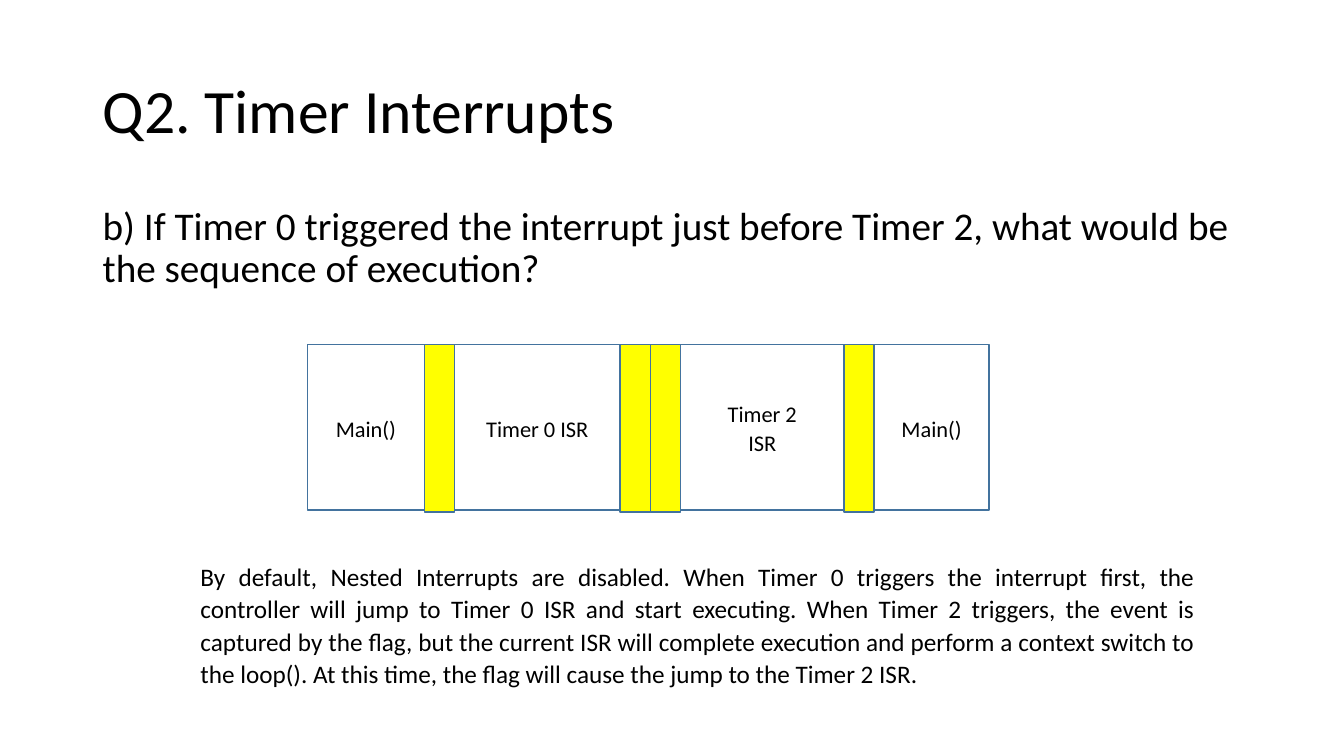
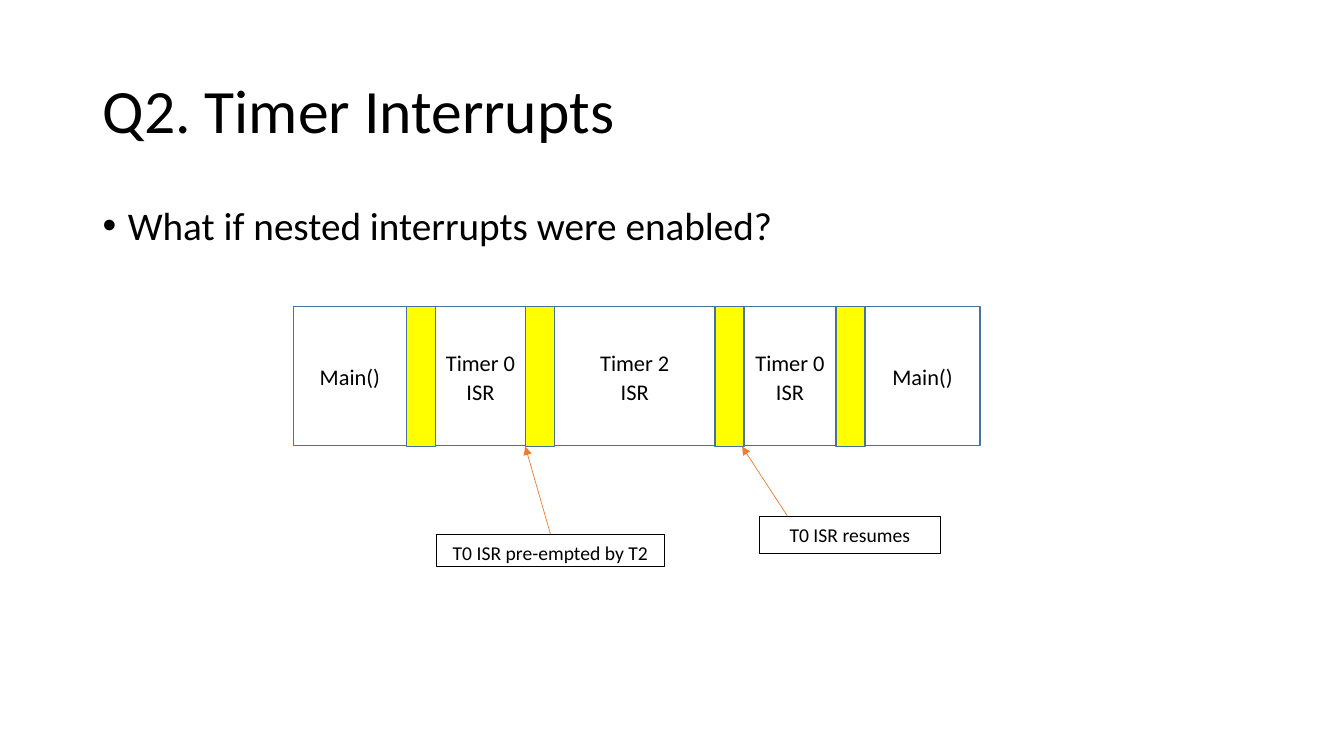
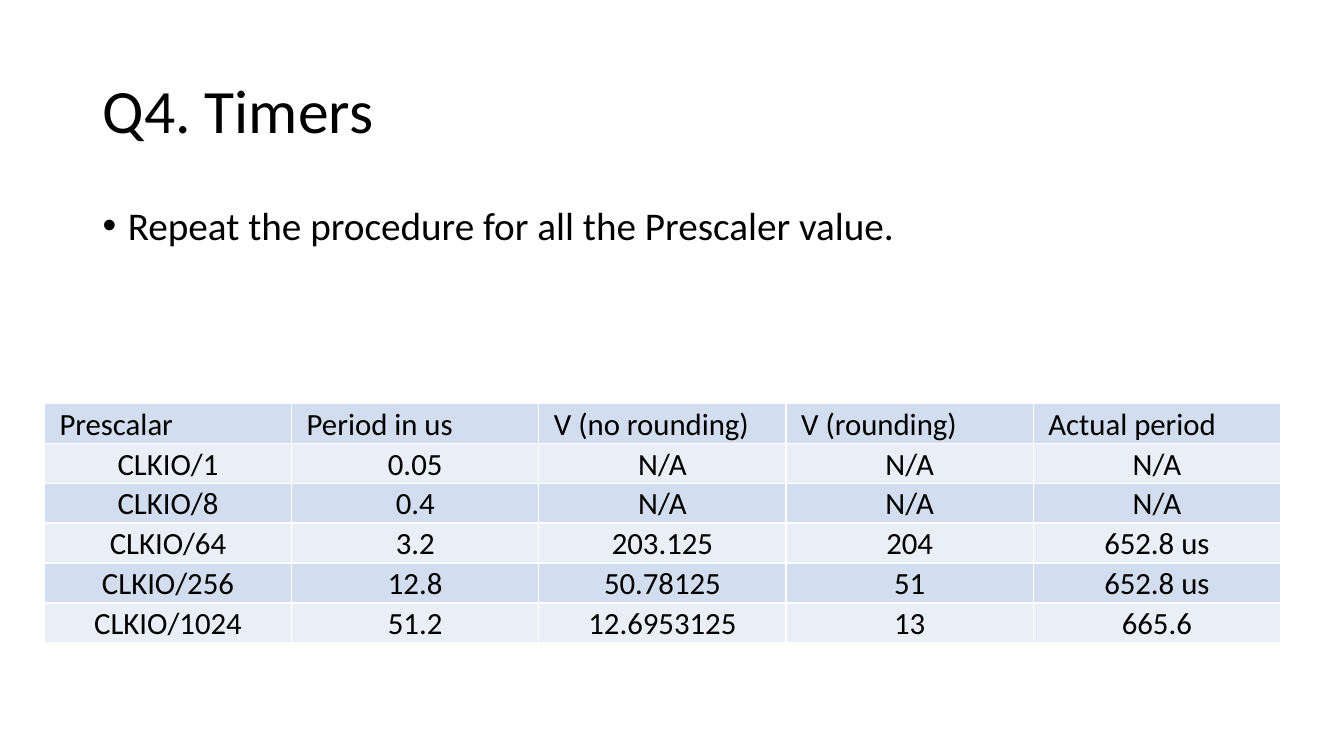
"""Build three tutorial slides on timer interrupts and prescaler values."""
from dataclasses import dataclass

from lxml.etree import SubElement
from pptx import Presentation
from pptx.dml.color import RGBColor
from pptx.enum.shapes import MSO_CONNECTOR, MSO_SHAPE
from pptx.enum.text import MSO_ANCHOR, MSO_AUTO_SIZE, PP_ALIGN
from pptx.oxml.ns import qn
from pptx.util import Pt

PX = 9144


@dataclass(frozen=True)
class Theme:
    font: str = "Calibri"
    ink: str = "000000"
    paper: str = "FFFFFF"
    block_line: str = "43739E"
    switch_fill: str = "FFFF00"
    arrow: str = "ED7D31"
    bands: tuple = ("D2DEEF", "EAEFF7")
    title_size: int = 44
    body_size: int = 28
    table_size: int = 22
    note_size: int = 18
    block_size: int = 16
    callout_size: int = 14


THEME = Theme()


def write(frame, text, size, align=PP_ALIGN.LEFT, spacing=1.07, before=0, after=8):
    """Put one formatted paragraph in a text frame and return it."""
    paragraph = frame.paragraphs[0]
    paragraph.text = text
    paragraph.alignment = align
    paragraph.line_spacing = spacing
    paragraph.space_before = Pt(before)
    paragraph.space_after = Pt(after)
    for run in paragraph.runs:
        run.font.name = THEME.font
        run.font.size = Pt(size)
        run.font.color.rgb = RGBColor.from_string(THEME.ink)
    return paragraph


def add_box(slide, bounds, fill, line, line_width, text="", size=0, anchor=MSO_ANCHOR.MIDDLE):
    """Add an outlined rectangle, with centred text if there is any."""
    box = slide.shapes.add_shape(MSO_SHAPE.RECTANGLE, *(value * PX for value in bounds))
    box.shadow.inherit = False
    if fill:
        box.fill.solid()
        box.fill.fore_color.rgb = RGBColor.from_string(fill)
    else:
        box.fill.background()
    box.line.color.rgb = RGBColor.from_string(line)
    box.line.width = Pt(line_width)
    box.text_frame.word_wrap = True
    box.text_frame.vertical_anchor = anchor
    if text:
        write(box.text_frame, text, size, PP_ALIGN.CENTER)


presentation = Presentation()
presentation.slide_width = 1333 * PX
presentation.slide_height = 750 * PX
title_only = presentation.slide_layouts[5]

outline = [
    ("Q2. Timer Interrupts", "b) If Timer 0 triggered the interrupt just before Timer 2, "
     "what would be the sequence of execution?", 128, False),
    ("Q2. Timer Interrupts", "What if nested interrupts were enabled?", 61, True),
    ("Q4. Timers", "Repeat the procedure for all the Prescaler value.", 112, True),
]
slides = []
for heading, question, question_height, bulleted in outline:
    slide = presentation.slides.add_slide(title_only)
    slides.append(slide)
    title = slide.shapes.title
    title.left, title.top, title.width, title.height = (v * PX for v in (92, 40, 1150, 145))
    title.text_frame.vertical_anchor = MSO_ANCHOR.MIDDLE
    title.text_frame.auto_size = MSO_AUTO_SIZE.NONE
    write(title.text_frame, heading, THEME.title_size, spacing=0.9, after=0)

    body = slide.shapes.add_textbox(92 * PX, 200 * PX, 1150 * PX, question_height * PX)
    body.text_frame.word_wrap = True
    paragraph = write(body.text_frame, question, THEME.body_size, spacing=0.9, before=10, after=0)
    if bulleted:
        properties = paragraph._p.get_or_add_pPr()
        properties.set("marL", str(25 * PX))
        properties.set("indent", str(-25 * PX))
        SubElement(properties, qn("a:buFont"), typeface="Arial")
        SubElement(properties, qn("a:buChar"), char="•")

default_slide, nested_slide, prescaler_slide = slides

SWITCH = ""
timelines = [
    (default_slide, 305, 342, 164, 166, [
        ("Main()", 116), (SWITCH, 30), ("Timer 0 ISR", 164), (SWITCH, 30), (SWITCH, 30),
        ("Timer 2\nISR", 162), (SWITCH, 30), ("Main()", 114)]),
    (nested_slide, 291, 304, 138, 139, [
        ("Main()", 112), (SWITCH, 29), ("Timer 0 ISR", 89), (SWITCH, 29),
        ("Timer 2\nISR", 159), (SWITCH, 29), ("Timer 0 ISR", 91), (SWITCH, 29),
        ("Main()", 114)]),
]
for slide, left, top, block_height, switch_height, stages in timelines:
    for stage, width in stages:
        height = block_height if stage else switch_height
        fill = None if stage else THEME.switch_fill
        add_box(slide, (left, top, width, height), fill, THEME.block_line, 1,
                stage, THEME.block_size)
        left += width

explanation = default_slide.shapes.add_textbox(139 * PX, 550 * PX, 1056 * PX, 140 * PX)
explanation.text_frame.word_wrap = True
explanation.text_frame.auto_size = MSO_AUTO_SIZE.SHAPE_TO_FIT_TEXT
paragraph = write(
    explanation.text_frame,
    "By default, Nested Interrupts are disabled. When Timer 0 triggers the interrupt first, "
    "the controller will jump to Timer 0 ISR and start executing. When Timer 2 triggers, "
    "the event is captured by the flag, but the current ISR will complete execution and "
    "perform a context switch to the loop(). At this time, the flag will cause the jump to "
    "the Timer 2 ISR.",
    THEME.note_size, PP_ALIGN.JUSTIFY)
paragraph._p.get_or_add_pPr().set("marL", str(50 * PX))

callouts = [
    ("T0 ISR pre-empted by T2", (433, 530, 226, 32), (546, 530, 521, 443)),
    ("T0 ISR resumes", (753, 512, 180, 37), (781, 512, 736, 443)),
]
for remark, bounds, route in callouts:
    add_box(nested_slide, bounds, THEME.paper, THEME.ink, 0.75,
            remark, THEME.callout_size, MSO_ANCHOR.TOP)
    pointer = nested_slide.shapes.add_connector(
        MSO_CONNECTOR.STRAIGHT, *(value * PX for value in route))
    pointer.line.color.rgb = RGBColor.from_string(THEME.arrow)
    pointer.line.width = Pt(0.5)
    SubElement(pointer.line._get_or_add_ln(), qn("a:tailEnd"), type="triangle")
    SubElement(pointer._element.spPr, qn("a:effectLst"))

prescaler_rows = [
    ("Prescalar", "Period in us", "V (no rounding)", "V (rounding)", "Actual period"),
    ("CLKIO/1", "0.05", "N/A", "N/A", "N/A"),
    ("CLKIO/8", "0.4", "N/A", "N/A", "N/A"),
    ("CLKIO/64", "3.2", "203.125", "204", "652.8 us"),
    ("CLKIO/256", "12.8", "50.78125", "51", "652.8 us"),
    ("CLKIO/1024", "51.2", "12.6953125", "13", "665.6"),
]
prescalers = prescaler_slide.shapes.add_table(
    len(prescaler_rows), len(prescaler_rows[0]),
    44 * PX, 400 * PX, 1226 * PX, 238 * PX).table
prescalers.first_row = False
for row_index, values in enumerate(prescaler_rows):
    for column_index, value in enumerate(values):
        cell = prescalers.cell(row_index, column_index)
        cell.margin_left = cell.margin_right = 15 * PX
        cell.margin_top = cell.margin_bottom = 0
        write(cell.text_frame, value, THEME.table_size,
              PP_ALIGN.CENTER if row_index else PP_ALIGN.JUSTIFY)
        for side in ("a:lnL", "a:lnR", "a:lnT", "a:lnB"):
            border = SubElement(cell._tc.get_or_add_tcPr(), qn(side), w=str(Pt(1)))
            border_fill = SubElement(border, qn("a:solidFill"))
            SubElement(border_fill, qn("a:srgbClr"), val=THEME.paper)
        cell.fill.solid()
        cell.fill.fore_color.rgb = RGBColor.from_string(THEME.bands[row_index % 2])

presentation.save("out.pptx")
